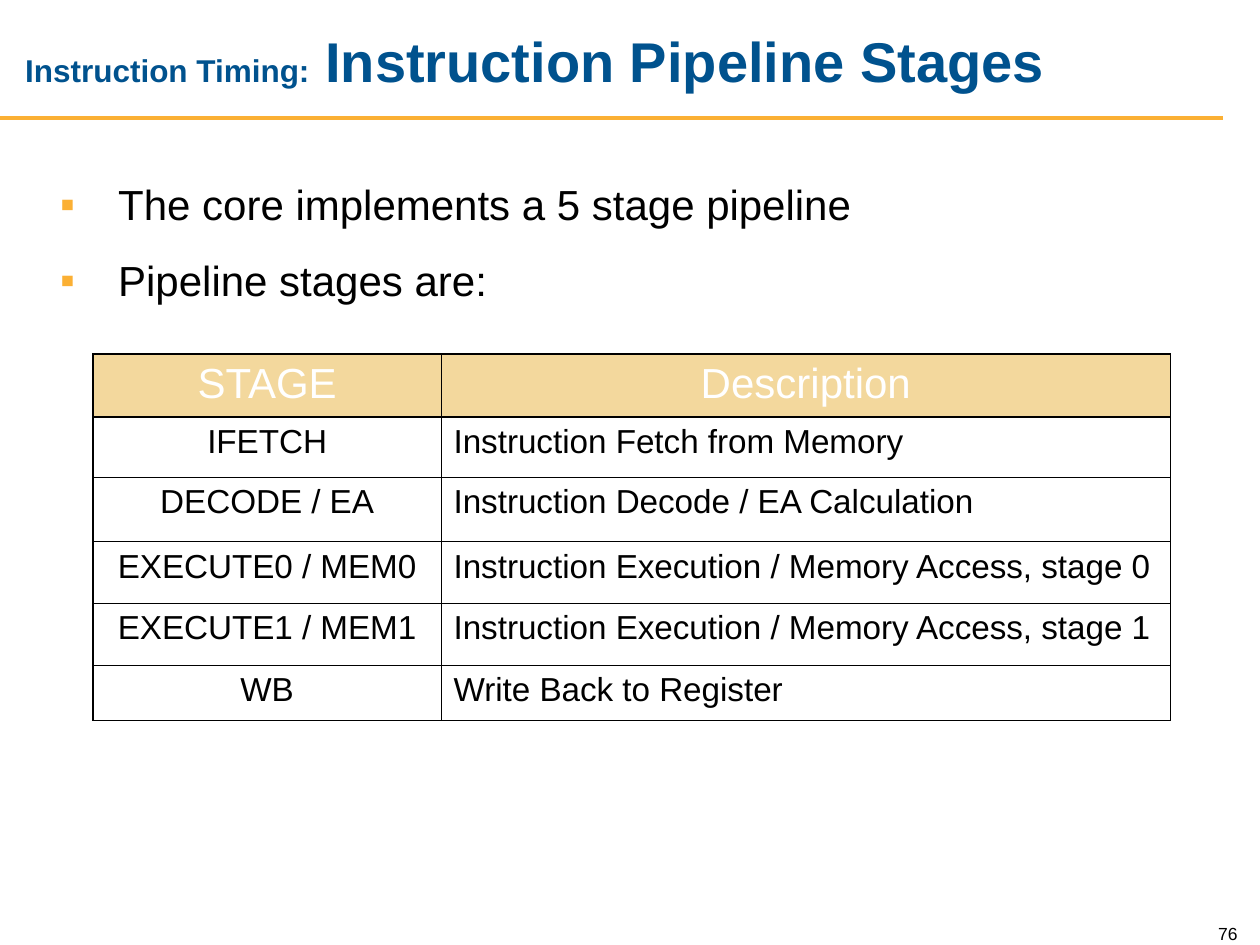
from pptx import Presentation
from pptx.dml.color import RGBColor
from pptx.enum.shapes import MSO_CONNECTOR
from pptx.enum.text import MSO_ANCHOR, MSO_AUTO_SIZE, PP_ALIGN
from pptx.oxml import parse_xml
from pptx.oxml.ns import nsdecls
from pptx.util import Inches, Pt

theme = {
    "font": "Arial",
    "blue": "00528E", "gold": "FBB034", "sand": "F3D89D",
    "black": "000000", "white": "FFFFFF",
    "lead": 18, "title": 32, "body": 24, "head": 24, "cell": 19, "page": 10,
    "thick": 1.08, "thin": 0.45,
}


def write(para, text, size, color, bold=False):
    run = para.add_run()
    run.text = text
    look = {"name": theme["font"], "size": Pt(theme[size]), "bold": bold}
    for key, value in look.items():
        setattr(run.font, key, value)
    run.font.color.rgb = RGBColor.from_string(theme[color])


def element(tag, attrs="", inner=""):
    return parse_xml(f"<a:{tag} {nsdecls('a')} {attrs}>{inner}</a:{tag}>")


deck = Presentation()
deck.slide_width, deck.slide_height = Inches(10), Inches(7.5)
slide = deck.slides.add_slide(deck.slide_layouts[5])
shapes = slide.shapes

# Rule under the title
rule = shapes.add_connector(
    MSO_CONNECTOR.STRAIGHT, Inches(0), Inches(0.94), Inches(9.71), Inches(0.94))
rule.line.color.rgb = RGBColor.from_string(theme["gold"])
rule.line.width = Pt(2.25)
rule._element.spPr.append(element("effectLst"))

# Title
title = shapes.title
place = {"left": 0.1, "top": 0.1, "width": 8.56, "height": 0.75}
for key, value in place.items():
    setattr(title, key, Inches(value))
frame = title.text_frame
form = {"word_wrap": True, "auto_size": MSO_AUTO_SIZE.NONE,
        "vertical_anchor": MSO_ANCHOR.MIDDLE}
for key, value in form.items():
    setattr(frame, key, value)
para = frame.paragraphs[0]
para.alignment = PP_ALIGN.LEFT
write(para, "Instruction Timing:", "lead", "blue", True)
write(para, " Instruction Pipeline Stages", "title", "blue", True)

# Bullets
points = ["The core implements a 5 stage pipeline", "Pipeline stages are:"]
box = shapes.add_textbox(Inches(0.38), Inches(1.25), Inches(8.56), Inches(1.39))
frame = box.text_frame
frame.word_wrap = True
for i, text in enumerate(points):
    para = frame.add_paragraph() if i else frame.paragraphs[0]
    props = para._p.get_or_add_pPr()
    props.set("marL", str(Inches(0.46)))
    props.set("indent", str(-Inches(0.46)))
    props.append(element("buClr", "", f'<a:srgbClr val="{theme["gold"]}"/>'))
    props.append(element("buFont", f'typeface="{theme["font"]}"'))
    props.append(element("buChar", 'char="▪"'))
    para.line_spacing = 1.3
    para.space_before = Pt(6 if i else 0)
    write(para, text, "body", "black")

# Table of stages
rows = [
    ("STAGE", "Description"),
    ("IFETCH", "Instruction Fetch from Memory"),
    ("DECODE / EA", "Instruction Decode / EA Calculation"),
    ("EXECUTE0 / MEM0", "Instruction Execution / Memory Access, stage 0"),
    ("EXECUTE1 / MEM1", "Instruction Execution / Memory Access, stage 1"),
    ("WB", "Write Back to Register"),
]
widths = [2.76, 5.79]
heights = [0.5, 0.48, 0.51, 0.49, 0.49, 0.44]
table = shapes.add_table(
    len(rows), len(widths), Inches(0.74), Inches(2.81),
    Inches(sum(widths)), Inches(sum(heights))).table
table.horz_banding = False
for col, width in zip(table.columns, widths):
    col.width = Inches(width)
for row, height in zip(table.rows, heights):
    row.height = Inches(height)

last = len(rows) - 1
for r, texts in enumerate(rows):
    for c, text in enumerate(texts):
        cell = table.cell(r, c)
        para = cell.text_frame.paragraphs[0]
        head = r == 0
        para.alignment = PP_ALIGN.CENTER if head or c == 0 else PP_ALIGN.LEFT
        write(para, text, "head" if head else "cell", "white" if head else "black")
        if head:
            cell.fill.solid()
            cell.fill.fore_color.rgb = RGBColor.from_string(theme["sand"])
        else:
            cell.fill.background()

        # Thick lines run round the table and below its head
        sides = {"lnL": c == 0, "lnR": c == 1, "lnT": r < 2, "lnB": r in (0, last)}
        props = cell._tc.get_or_add_tcPr()
        for n, (side, thick) in enumerate(sides.items()):
            width = Pt(theme["thick" if thick else "thin"])
            ink = f'<a:solidFill><a:srgbClr val="{theme["black"]}"/></a:solidFill>'
            props.insert(n, element(side, f'w="{width}"', ink))

# Page number
box = shapes.add_textbox(Inches(9.42), Inches(7.24), Inches(0.5), Inches(0.3))
frame = box.text_frame
frame.word_wrap = True
frame.vertical_anchor = MSO_ANCHOR.BOTTOM
para = frame.paragraphs[0]
para.alignment = PP_ALIGN.RIGHT
write(para, "76", "page", "black")

deck.save("out.pptx")
